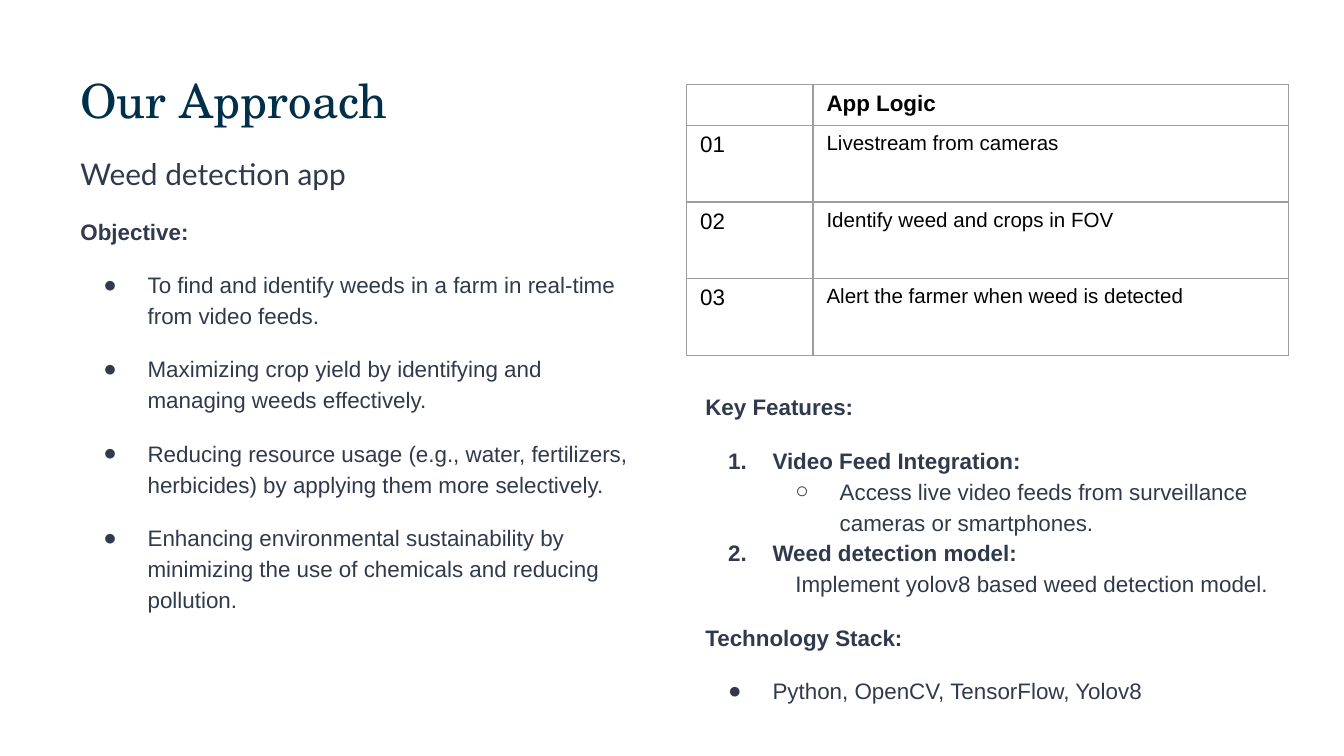
from pptx import Presentation
from pptx import util as u
from pptx.dml.color import RGBColor
from pptx.enum import text
from pptx.oxml import parse_xml
from pptx.oxml.ns import nsdecls

COLORS = {"title": "002F4A", "body": "31394D", "table": "000000", "border": "9E9E9E"}
FONTS = {"title": "TeX Gyre Schola", "subtitle": "Lato", "body": "Arial"}


class SlideBuilder:
    def __init__(self, slide):
        self.slide = slide

    def run(self, paragraph, content, size=12, color="body", font="body", bold=False):
        run = paragraph.add_run()
        run.text = content
        run.font.size = u.Pt(size)
        run.font.name = FONTS[font]
        run.font.bold = bold
        run.font.color.rgb = RGBColor.from_string(COLORS[color])

    def text_box(self, left, top, width, height, inset=0.1):
        box = self.slide.shapes.add_textbox(*map(u.Inches, (left, top, width, height)))
        frame = box.text_frame
        frame.word_wrap = True
        frame.auto_size = text.MSO_AUTO_SIZE.NONE
        frame.vertical_anchor = text.MSO_ANCHOR.TOP
        frame.margin_left = frame.margin_right = u.Inches(0.1)
        frame.margin_top = frame.margin_bottom = u.Inches(inset)
        return frame

    def paragraph(self, frame, content, bold=False, marker=None, indent=0, level=0, before=12):
        paragraph = frame.add_paragraph() if frame.text else frame.paragraphs[0]
        paragraph.line_spacing = 1.15
        paragraph.space_before = u.Pt(before)
        paragraph.level = level
        properties = paragraph._p.get_or_add_pPr()
        properties.set("marL", str(u.Inches(indent)))
        properties.set("indent", str(u.Inches(-0.33 if marker else 0)))
        if marker:
            self.marker(properties, marker)
        self.run(paragraph, content, bold=bold)

    def marker(self, properties, marker):
        if marker == "number":
            symbol = '<a:buAutoNum {} type="arabicPeriod"/>'
        else:
            symbol = '<a:buChar {} char="' + marker + '"/>'
        color = f'<a:buClr {{}}><a:srgbClr val="{COLORS["body"]}"/></a:buClr>'
        for template in (color, '<a:buFont {} typeface="Arial"/>', symbol):
            properties.append(parse_xml(template.format(nsdecls("a"))))

    def table(self, left, top, widths, heights, rows):
        frame = self.slide.shapes.add_table(
            len(rows), len(widths), u.Inches(left), u.Inches(top),
            u.Inches(sum(widths)), u.Inches(sum(heights)))
        table = frame.table
        table.first_row = table.horz_banding = False
        for column, width in zip(table.columns, widths):
            column.width = u.Inches(width)
        for row, height in zip(table.rows, heights):
            row.height = u.Inches(height)
        for r, row in enumerate(rows):
            for c, content in enumerate(row):
                self.cell(table.cell(r, c), content, 11 if r and c else 12, r == 0)

    def cell(self, cell, content, size, bold):
        cell.fill.background()
        cell.margin_left = cell.margin_right = u.Inches(0.1)
        cell.margin_top = cell.margin_bottom = u.Inches(0.05)
        paragraph = cell.text_frame.paragraphs[0]
        if content:
            self.run(paragraph, content, size, "table", bold=bold)
        else:
            paragraph._p.append(parse_xml(f'<a:endParaRPr {nsdecls("a")} sz="{size * 100}"/>'))
        properties = cell._tc.get_or_add_tcPr()
        for position, side in enumerate("LRTB"):
            properties.insert(position, parse_xml(
                f'<a:ln{side} {nsdecls("a")} w="{u.Pt(0.75)}"><a:solidFill>'
                f'<a:srgbClr val="{COLORS["border"]}"/></a:solidFill></a:ln{side}>'))


def main():
    presentation = Presentation()
    presentation.slide_width = u.Inches(10)
    presentation.slide_height = presentation.slide_width * 9 // 16
    builder = SlideBuilder(presentation.slides.add_slide(presentation.slide_layouts[6]))

    title = builder.text_box(0.5, 0.43, 4.78, 0.63)
    builder.run(title.paragraphs[0], "Our Approach", 25.2, "title", "title")

    objectives = builder.text_box(0.5, 1.06, 4.39, 2.65)
    builder.run(objectives.paragraphs[0], "Weed detection app", 16, font="subtitle")
    builder.paragraph(objectives, "Objective:", bold=True)
    for objective in (
        "To find and identify weeds in a farm in real-time from video feeds.",
        "Maximizing crop yield by identifying and managing weeds effectively.",
        "Reducing resource usage (e.g., water, fertilizers, herbicides) by applying them more selectively.",
        "Enhancing environmental sustainability by minimizing the use of chemicals and reducing pollution.",
    ):
        builder.paragraph(objectives, objective, marker="●", indent=0.5)

    builder.table(5.11, 0.63, [0.94, 3.54], [0.3] + [0.57] * 3, [
        ("", "App Logic"),
        ("01", "Livestream from cameras"),
        ("02", "Identify weed and crops in FOV"),
        ("03", "Alert the farmer when weed is detected"),
    ])

    features = builder.text_box(5.15, 2.85, 4.56, 2.44, inset=0.05)
    builder.paragraph(features, "Key Features:", bold=True)
    builder.paragraph(features, "Video Feed Integration:", True, "number", 0.5)
    builder.paragraph(features, "Access live video feeds from surveillance cameras or smartphones.",
                      marker="○", indent=1, level=1, before=0)
    builder.paragraph(features, "Weed detection model:", True, "number", 0.5, before=0)
    builder.paragraph(features, "Implement yolov8 based weed detection model.",
                      indent=0.67, level=1, before=0)
    builder.paragraph(features, "Technology Stack:", bold=True)
    builder.paragraph(features, "Python, OpenCV, TensorFlow, Yolov8", marker="●", indent=0.5)

    presentation.save("out.pptx")


if __name__ == "__main__":
    main()
